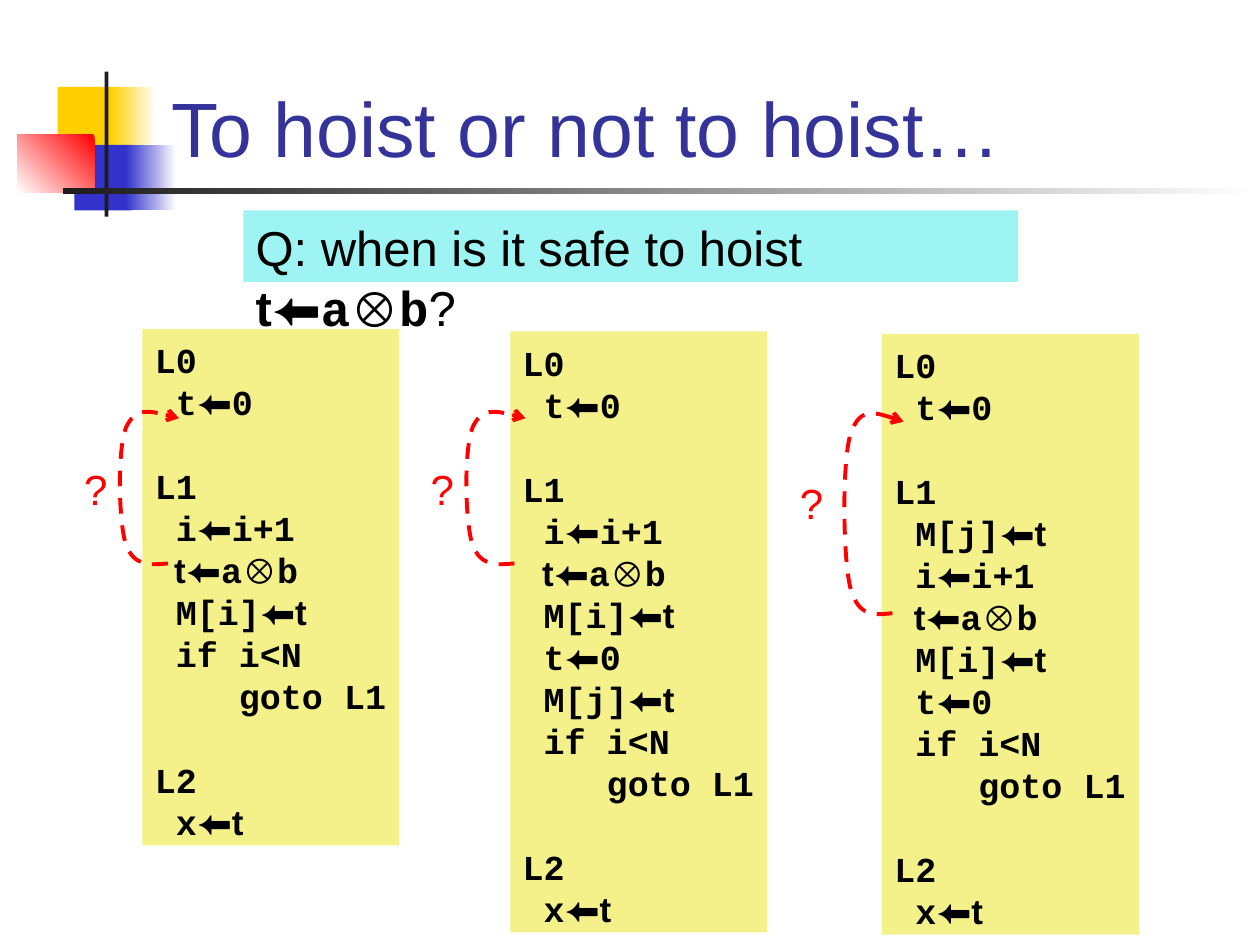
from pptx import Presentation
from pptx.dml.color import RGBColor
from pptx.enum.dml import MSO_LINE
from pptx.enum.shapes import MSO_SHAPE
from pptx.enum.text import MSO_ANCHOR, PP_ALIGN
from pptx.oxml.ns import qn
from pptx.oxml.xmlchemy import OxmlElement
from pptx.util import Pt

WHITE = RGBColor(0xFF, 0xFF, 0xFF)
BLACK = RGBColor(0x00, 0x00, 0x00)
CHARCOAL = RGBColor(0x1C, 0x1C, 0x1C)
GOLD = RGBColor(0xFF, 0xCF, 0x01)
BLUE = RGBColor(0x33, 0x33, 0xCC)
RED = RGBColor(0xFF, 0x00, 0x00)
TITLE_BLUE = RGBColor(0x33, 0x33, 0x99)
PALE_YELLOW = RGBColor(0xF4, 0xF1, 0x8B)
AQUA = RGBColor(0x9E, 0xF4, 0xF2)

SANS, MONO = "Arial", "Courier New"
LEADING = 1.225
CODE_LINE = 24

# Every second part between bars is set in the sans font.
T_ZERO = " t|⬅|0"
NEXT_I = " i|⬅|i+1"
MULTIPLY = "|  t⬅|a|⊗|b"
STORE_I, STORE_J = " M[i]|⬅t", " M[j]|⬅t"
START = ["L0", T_ZERO]
LOOP_END = [" if i<N", "    goto L1"]
FINISH = ["L2", " x|⬅t"]

# Left, top and height of each listing, with its loop body
LISTINGS = [
    (81.4, 187.9, 295.2, [NEXT_I, MULTIPLY, STORE_I]),
    (291.6, 189.4, 343.4, [NEXT_I, MULTIPLY, STORE_I, T_ZERO, STORE_J]),
    (504, 190.8, 343.4, [STORE_J, NEXT_I, MULTIPLY, STORE_I, T_ZERO]),
]
# Left and height of each arrow, with the corner of its question mark
HOISTS = [
    (67, 91.2, 41, 260.6),
    (265, 91.2, 239, 260.6),
    (481, 120.2, 450, 268.6),
]
# Start point and Bezier points of an arrow, as shares of its width and height
ARROW_CURVE = [
    (0.82, 0.98), (0.53, 0.99), (0.27, 1), (0.14, 0.86), (0.02, 0.72),
    (0, 0.27), (0.14, 0.13), (0.29, 0), (0.63, 0.03), (1, 0.07),
]


def add_rect(s, left, top, width, height, color, fade_angle=None):
    """Add a plain rectangle, fading from color to white if an angle is given."""
    sp = s.shapes.add_shape(MSO_SHAPE.RECTANGLE, Pt(left), Pt(top), Pt(width), Pt(height))
    sp.shadow.inherit = False
    sp.line.fill.background()
    if fade_angle is None:
        sp.fill.solid()
        sp.fill.fore_color.rgb = color
    else:
        sp.fill.gradient()
        sp.fill.gradient_angle = fade_angle
        for stop, rgb in zip(sp.fill.gradient_stops, (color, WHITE)):
            stop.color.rgb = rgb
    return sp


def set_frame(sp, wrap, anchor=MSO_ANCHOR.TOP):
    tf = sp.text_frame
    tf.word_wrap = wrap
    tf.vertical_anchor = anchor
    return tf


def style_paragraph(p, size, color, font=SANS):
    p.alignment = PP_ALIGN.LEFT
    p.font.size = Pt(size)
    p.font.color.rgb = color
    p.font.name = font


def add_label(s, left, top, width, height, text, size, color, anchor=MSO_ANCHOR.TOP):
    sp = s.shapes.add_textbox(Pt(left), Pt(top), Pt(width), Pt(height))
    p = set_frame(sp, False, anchor).paragraphs[0]
    p.text = text
    style_paragraph(p, size, color)
    return p


def add_ornament(s):
    add_rect(s, 33, 49.7, 34.6, 37.4, GOLD)
    add_rect(s, 63.4, 49.7, 25.9, 37.4, GOLD, 0)
    add_rect(s, 42.5, 82.8, 33.1, 37.4, BLUE)
    add_rect(s, 72, 82.8, 28.8, 37.4, BLUE, 0)
    add_rect(s, 10, 77, 44, 33.1, RED, 225)
    add_rect(s, 59.8, 41, 2.2, 82.8, CHARCOAL)
    add_rect(s, 36, 107.3, 684, 3.6, CHARCOAL, 0)


def add_listing(s, left, top, height, body):
    tf = set_frame(add_rect(s, left, top, 146.9, height, PALE_YELLOW), False)
    tf.margin_top = Pt(5.6)
    for i, line in enumerate(START + ["L1"] + body + LOOP_END + FINISH):
        p = tf.add_paragraph() if i else tf.paragraphs[0]
        p.line_spacing = Pt(CODE_LINE)
        if line in ("L1", "L2"):
            p.space_before = Pt(CODE_LINE)
        style_paragraph(p, 20, BLACK, MONO)
        p.font.bold = True
        for n, part in enumerate(line.split("|")):
            if part:
                r = p.add_run()
                r.text = part
                r.font.name = SANS if n % 2 else MONO


def add_hoist_arrow(s, left, height):
    points = [(Pt(left + 35.3 * x), Pt(232.6 + height * y)) for x, y in ARROW_CURVE]
    builder = s.shapes.build_freeform(*points[0])
    builder.add_line_segments(points[1:], close=False)
    sp = builder.convert_to_shape()
    sp.shadow.inherit = False
    sp.fill.background()
    sp.line.color.rgb = RED
    sp.line.width = Pt(2.25)
    sp.line.dash_style = MSO_LINE.DASH
    head = OxmlElement("a:tailEnd")
    head.set("type", "arrow")
    sp.line._get_or_add_ln().append(head)

    # Each three line segments become one Bezier curve.
    segments = list(sp._element.iter(qn("a:lnTo")))
    for i in range(0, len(segments), 3):
        curve = OxmlElement("a:cubicBezTo")
        segments[i].addprevious(curve)
        for segment in segments[i:i + 3]:
            curve.append(segment[0])
            segment.getparent().remove(segment)


def add_question(s):
    tf = set_frame(add_rect(s, 139, 120.2, 442.8, 41, AQUA), True)
    p = tf.paragraphs[0]
    p.line_spacing = Pt(28 * LEADING)
    style_paragraph(p, 28, BLACK)
    for text, font, bold in [
        ("Q: when is it safe to hoist ", SANS, False),
        ("t⬅", SANS, True),
        ("a", MONO, True),
        ("⊗", SANS, True),
        ("b", MONO, True),
        ("?", SANS, False),
    ]:
        r = p.add_run()
        r.text = text
        r.font.name = font
        r.font.bold = bold


def main():
    prs = Presentation()
    prs.slide_width, prs.slide_height = Pt(720), Pt(540)
    s = prs.slides.add_slide(prs.slide_layouts[6])
    add_ornament(s)
    add_label(s, 90.7, 12.2, 613.4, 90, "To hoist or not to hoist…", 44,
              TITLE_BLUE, MSO_ANCHOR.BOTTOM)
    for listing in LISTINGS:
        add_listing(s, *listing)
    for left, height, mark_left, mark_top in HOISTS:
        add_hoist_arrow(s, left, height)
        p = add_label(s, mark_left, mark_top, 27.4, 36, "?", 24, RED)
        p.line_spacing = Pt(24 * LEADING)
    add_question(s)
    prs.save("out.pptx")


if __name__ == "__main__":
    main()
